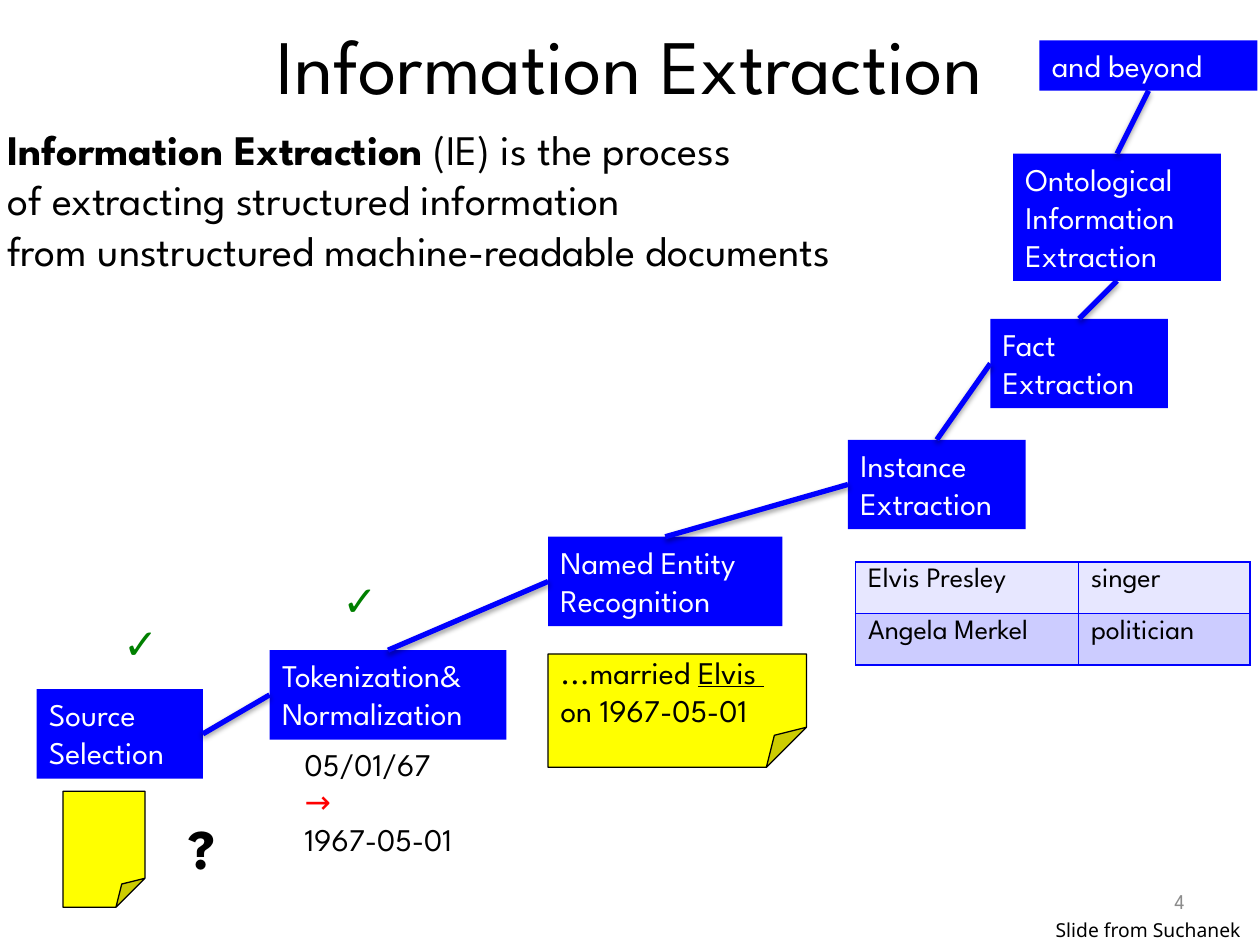
from lxml.etree import SubElement as Sub
from pptx import Presentation
from pptx.dml.color import RGBColor as Rgb
from pptx.enum.shapes import MSO_CONNECTOR as Link, MSO_SHAPE as Kind
from pptx.enum.text import MSO_ANCHOR as Anchor, PP_ALIGN as Align
from pptx.oxml.ns import qn
from pptx.util import Inches, Pt

COLS, ROWS = 100, 75  # grid of tenths of an inch
CELL = Inches(0.1)
FONT = "League Spartan"
HUE = {
    "blue": "0000FF", "yellow": "FFFF00", "white": "FFFFFF", "black": "000000",
    "red": "FF0000", "green": "008000", "grey": "8C8C8C",
    "edge": "0001FF", "pale": "E7E7FF", "lilac": "CCCCFF",
}
TOP, LEFT, BOTTOM, RIGHT = range(4)

# Steps of the pipeline: text, place, side left from, side of the next step
STEPS = [
    ("Source\nSelection", (2.9, 54.7, 13.2, 7.1), RIGHT, LEFT),
    ("Tokenization&\nNormalization", (21.4, 51.6, 18.8, 7.1), TOP, LEFT),
    ("Named Entity\nRecognition", (43.5, 42.6, 18.6, 7.1), TOP, LEFT),
    ("Instance\nExtraction", (67.3, 34.9, 14.1, 7.1), TOP, LEFT),
    ("Fact\nExtraction", (78.6, 25.3, 14.1, 7.1), TOP, BOTTOM),
    ("Ontological\nInformation\nExtraction", (80.4, 12.2, 16.5, 10.1), TOP, BOTTOM),
    ("and beyond", (82.5, 3.2, 17.3, 4), None, None),
]
FACTS = [("Elvis Presley", "singer"), ("Angela Merkel", "politician")]


def color(name):
    return Rgb.from_string(HUE[name])


def span(*units):
    return [round(u * CELL) for u in units]


def write(frame, lines, size=18, hue="black", font=FONT, bold=False,
          align=Align.LEFT, anchor=Anchor.TOP, wrap=True):
    """Lines are a string, or a list of lists of (text, changes) runs."""
    if isinstance(lines, str):
        lines = [[(line, {})] for line in lines.split("\n")]
    frame.word_wrap = wrap
    frame.vertical_anchor = anchor
    for i, runs in enumerate(lines):
        para = frame.paragraphs[0] if i == 0 else frame.add_paragraph()
        para.alignment = align
        for text, change in runs:
            run = para.add_run()
            run.text = text
            run.font.size, run.font.name = Pt(size), font
            run.font.bold = change.get("bold", bold)
            if change.get("under"):
                run.font.underline = True
            run.font.color.rgb = color(change.get("hue", hue))


def label(slide, place, lines, **style):
    box = slide.shapes.add_textbox(*span(*place))
    write(box.text_frame, lines, **style)


def block(slide, kind, place, fill, edge=None):
    shape = slide.shapes.add_shape(kind, *span(*place))
    shape.shadow.inherit = False
    shape.fill.solid()
    shape.fill.fore_color.rgb = color(fill)
    if edge:
        shape.line.color.rgb = color(edge)
        shape.line.width = Pt(0.75)
    else:
        shape.line.fill.background()
    return shape


def step(slide, text, place):
    shape = block(slide, Kind.RECTANGLE, place, "blue")
    write(shape.text_frame, text, hue="white")
    return shape


def note(slide, place):
    shape = block(slide, Kind.FOLDED_CORNER, place, "yellow", "black")
    # Size of the fold, which has no public setting
    geom = shape._element.spPr.find(qn("a:prstGeom"))
    for old in geom.findall(qn("a:avLst")):
        geom.remove(old)
    Sub(Sub(geom, qn("a:avLst")), qn("a:gd"), name="adj", fmla="val 35300")
    return shape


def join(slide, start, out, end, into):
    line = slide.shapes.add_connector(Link.STRAIGHT, 0, 0, 0, 0)
    line.begin_connect(start, out)
    line.end_connect(end, into)
    line.line.color.rgb = color("blue")
    line.line.width = Pt(3)
    # Soft shadow straight below the line
    effects = Sub(line._element.spPr, qn("a:effectLst"))
    shade = Sub(effects, qn("a:outerShdw"), blurRad="40000", dist="20000",
                dir="5400000", rotWithShape="0")
    tint = Sub(shade, qn("a:srgbClr"), val=HUE["black"])
    Sub(tint, qn("a:alpha"), val="38000")


def border(cell):
    props = cell._tc.get_or_add_tcPr()
    for i, side in enumerate(("lnL", "lnR", "lnT", "lnB")):
        edge = props.makeelement(qn("a:" + side), {"w": str(int(Pt(1)))})
        fill = Sub(edge, qn("a:solidFill"))
        Sub(fill, qn("a:srgbClr"), val=HUE["edge"])
        props.insert(i, edge)


def table(slide, place, widths, data):
    grid = slide.shapes.add_table(len(data), len(widths), *span(*place)).table
    for col, width in zip(grid.columns, span(*widths)):
        col.width = width
    for r, row in enumerate(data):
        for c, text in enumerate(row):
            cell = grid.cell(r, c)
            cell.fill.solid()
            cell.fill.fore_color.rgb = color(("pale", "lilac")[r % 2])
            write(cell.text_frame, text, size=16)
            border(cell)


def main():
    deck = Presentation()
    deck.slide_width, deck.slide_height = span(COLS, ROWS)
    slide = deck.slides.add_slide(deck.slide_layouts[5])

    # Title and definition
    title = slide.shapes.title
    title.left, title.top, title.width, title.height = span(5, 0, 90, 10.1)
    write(title.text_frame, "Information Extraction", size=44,
          align=Align.CENTER, anchor=Anchor.MIDDLE)
    label(slide, (-0.4, 9.3, 88, 13.1), [
        [("Information Extraction", {"bold": True}), (" (IE) is the process", {})],
        [("of extracting structured information", {})],
        [("from unstructured machine-readable documents", {})],
    ], size=24)

    # Staircase of steps
    boxes = [step(slide, text, place) for text, place, _, _ in STEPS]
    for (_, _, out, into), start, end in zip(STEPS, boxes, boxes[1:]):
        join(slide, start, out, end, into)

    # Examples below the steps
    note(slide, (5, 62.8, 6.5, 9.2))
    label(slide, (14, 64.1, 4.5, 6.4), "?", size=32, bold=True)
    label(slide, (23.2, 58.6, 14.9, 10.1), [
        [("05/01/67", {})], [("→", {"hue": "red"})], [("1967-05-01", {})],
    ])
    quote = note(slide, (43.5, 51.9, 20.5, 9))
    write(quote.text_frame, [
        [("...married ", {}), ("Elvis ", {"under": True})],
        [("on 1967-05-01", {})],
    ], anchor=Anchor.MIDDLE)
    table(slide, (67.9, 44.6, 31.3, 8.2), (17.7, 13.6), FACTS)

    # Ticks for finished steps
    for left, top in ((8.8, 48.5), (26.2, 45.1)):
        label(slide, (left, top, 4.7, 5), "✓", size=24, hue="green",
              font="Arial", bold=True)

    # Slide number and credit
    label(slide, (71.7, 69.5, 23.3, 4), "4", size=12, hue="grey",
          align=Align.RIGHT, anchor=Anchor.MIDDLE)
    label(slide, (82.8, 72.4, 17.2, 2.9), "Slide from Suchanek", size=11,
          font="Noto Sans", wrap=False)

    deck.save("out.pptx")


if __name__ == "__main__":
    main()
